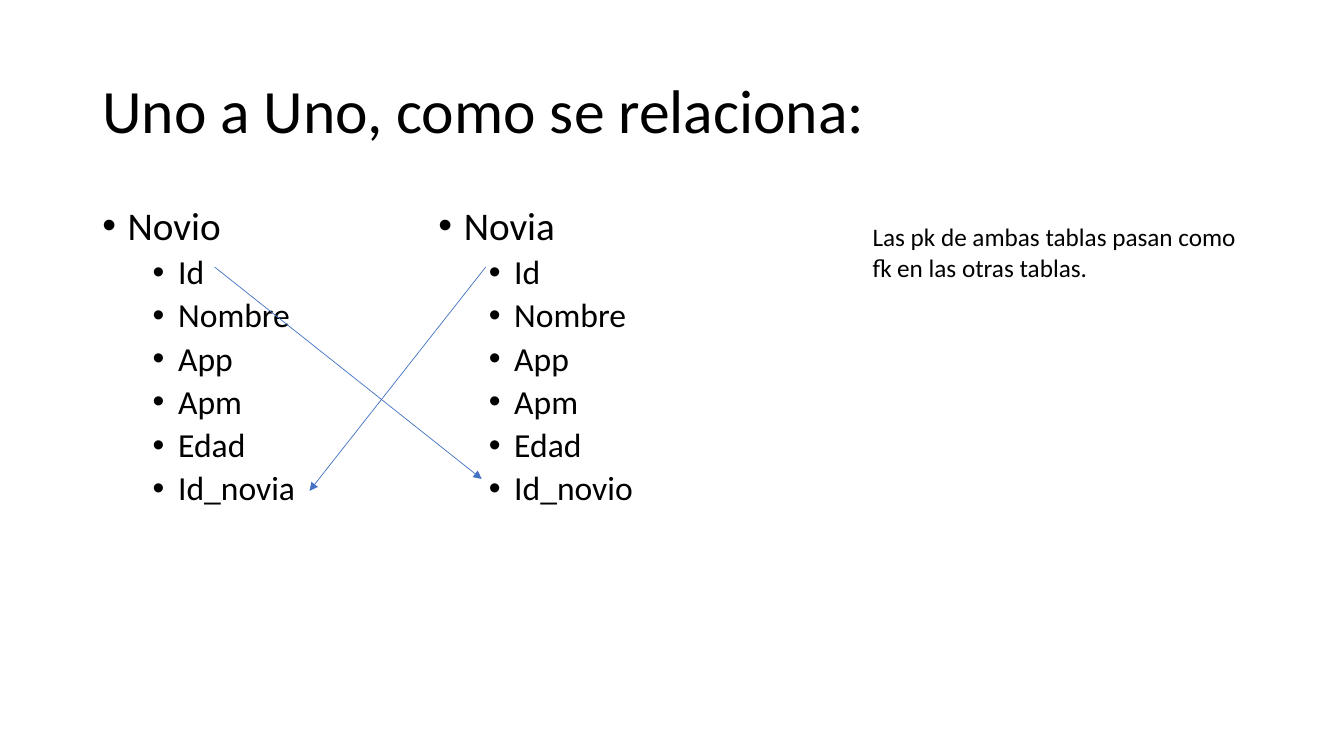
from dataclasses import dataclass

from lxml.etree import SubElement
from pptx import Presentation
from pptx.dml.color import RGBColor
from pptx.enum.shapes import MSO_CONNECTOR
from pptx.enum.text import MSO_ANCHOR, MSO_AUTO_SIZE
from pptx.oxml.ns import qn
from pptx.util import Cm, Pt


@dataclass(frozen=True)
class Theme:
    """Colours, font and type sizes of the slide."""
    font: str = "Calibri"
    ink: RGBColor = RGBColor(0x00, 0x00, 0x00)
    accent: RGBColor = RGBColor(0x44, 0x72, 0xC4)
    title: int = 44
    entity: int = 28
    field: int = 24
    note: int = 18
    arrow: float = 0.5


def write(paragraph, text, *, theme, size, line=None, before=None):
    """Put formatted text into a paragraph."""
    run = paragraph.add_run()
    run.text = text
    run.font.name = theme.font
    run.font.size = Pt(size)
    run.font.color.rgb = theme.ink
    paragraph.line_spacing = line
    if before is not None:
        paragraph.space_before = Pt(before)


def add_bullet(paragraph, indent, hang=0.64):
    """Give a paragraph a hanging bullet; lengths in cm."""
    properties = paragraph._p.get_or_add_pPr()
    properties.set("marL", str(Cm(indent)))
    properties.set("indent", str(-Cm(hang)))
    SubElement(properties, qn("a:buFont"), typeface="Arial")
    SubElement(properties, qn("a:buChar"), char="•")


class SlideBuilder:
    """Holds the theme and the current slide; lengths are in cm."""

    def __init__(self, slide, theme):
        """Keep the slide and its style."""
        self.slide = slide
        self.theme = theme

    def frame(self, left, top, width, height, anchor=MSO_ANCHOR.TOP):
        """Add a wrapping text box and return its text frame."""
        box = self.slide.shapes.add_textbox(Cm(left), Cm(top), Cm(width), Cm(height))
        box.text_frame.word_wrap = True
        box.text_frame.vertical_anchor = anchor
        return box.text_frame

    def title(self, text, *place):
        """Add the slide title."""
        heading = self.frame(*place, anchor=MSO_ANCHOR.MIDDLE)
        write(heading.paragraphs[0], text, theme=self.theme,
              size=self.theme.title, line=0.9)

    def entity(self, name, fields, *place):
        """Add an entity name with its fields as a two-level list."""
        listing = self.frame(*place)
        heading = listing.paragraphs[0]
        write(heading, name, theme=self.theme, size=self.theme.entity,
              line=0.9, before=10)
        add_bullet(heading, 0.64)
        for field in fields:
            entry = listing.add_paragraph()
            entry.level = 1
            write(entry, field, theme=self.theme, size=self.theme.field,
                  line=0.9, before=5)
            add_bullet(entry, 1.91)

    def note(self, text, *place):
        """Add an explanatory note that grows with its text."""
        remark = self.frame(*place)
        remark.auto_size = MSO_AUTO_SIZE.SHAPE_TO_FIT_TEXT
        write(remark.paragraphs[0], text, theme=self.theme, size=self.theme.note)

    def arrow(self, start, end):
        """Add a thin arrow pointing at its end."""
        relation = self.slide.shapes.add_connector(
            MSO_CONNECTOR.STRAIGHT, *map(Cm, start + end))
        relation.line.color.rgb = self.theme.accent
        relation.line.width = Pt(self.theme.arrow)
        SubElement(relation.line._get_or_add_ln(), qn("a:tailEnd"), type="triangle")
        SubElement(relation._element.spPr, qn("a:effectLst"))


def main():
    """Build and save the slide on one-to-one relations."""
    deck = Presentation()
    deck.slide_width, deck.slide_height = Cm(33.87), Cm(19.05)
    builder = SlideBuilder(deck.slides.add_slide(deck.slide_layouts[6]), Theme())

    builder.title("Uno a Uno, como se relaciona:", 2.33, 1.01, 29.21, 3.68)

    shared_fields = ["Id", "Nombre", "App", "Apm", "Edad"]
    entities = [("Novio", "Id_novia", 2.33), ("Novia", "Id_novio", 10.8)]
    for name, foreign_key, left in entities:
        builder.entity(name, shared_fields + [foreign_key], left, 5.07, 6.15, 12.09)

    builder.arrow((5.41, 6.73), (12.14, 12.07))
    builder.arrow((12.24, 6.73), (7.8, 12.37))

    builder.note("Las pk de ambas tablas pasan como fk en las otras tablas.",
                 21.74, 5.46, 10.13, 1.8)
    deck.save("out.pptx")


main()
